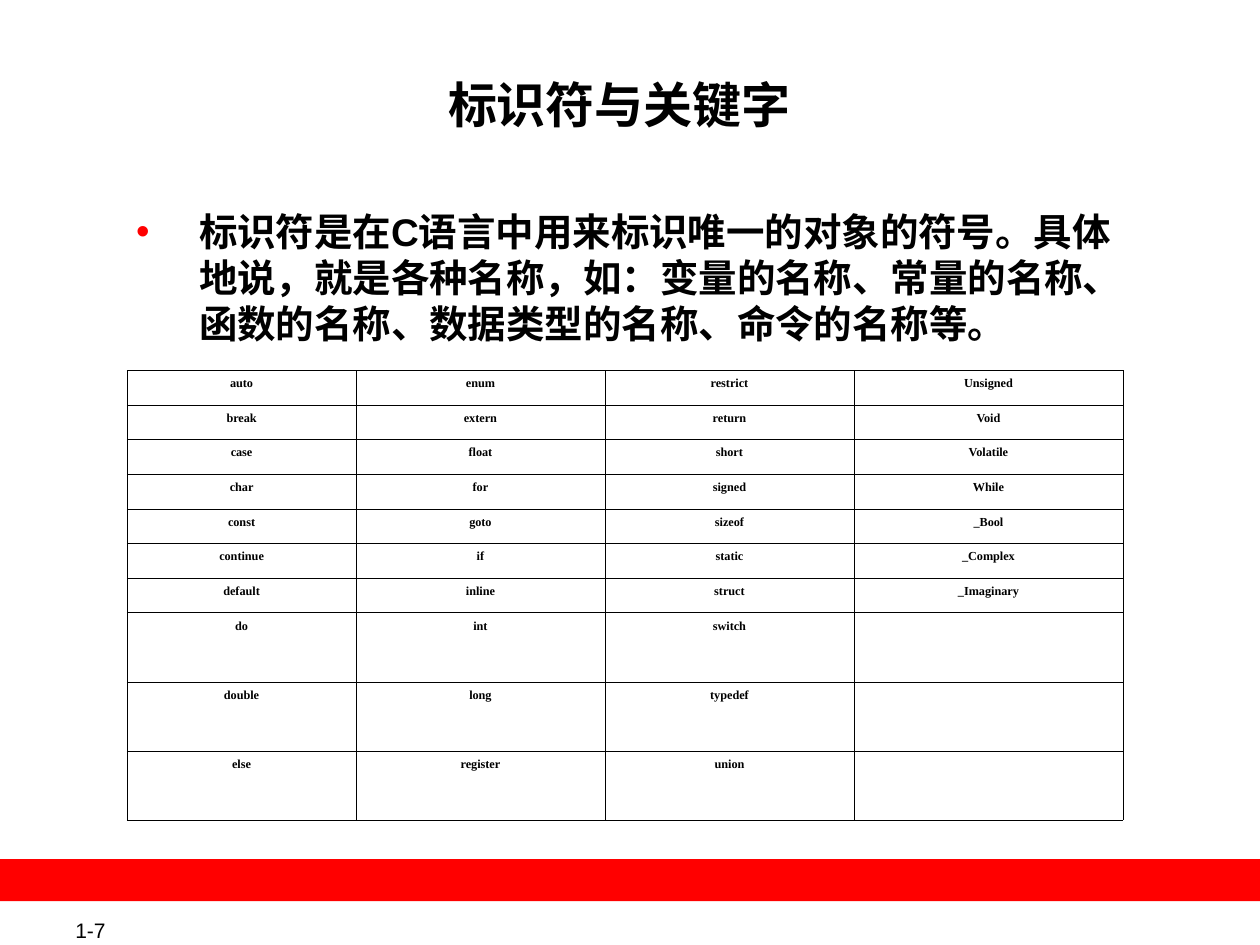
import dataclasses
import typing

import lxml.etree
import pptx
import pptx.dml.color
import pptx.enum.shapes
import pptx.enum.text
import pptx.oxml.ns
import pptx.util

Pt = pptx.util.Pt
qn = pptx.oxml.ns.qn
ALIGN = pptx.enum.text.PP_ALIGN
ANCHOR = pptx.enum.text.MSO_ANCHOR


@dataclasses.dataclass(frozen=True)
class Theme:
    ink: str = "000000"
    red: str = "FF0000"
    sans: str = "Arial"
    serif: str = "Times New Roman"
    title: float = 28
    body: float = 22
    page: float = 12
    word: float = 7
    rule: float = 0.45


THEME = Theme()


@dataclasses.dataclass(frozen=True)
class Label:
    text: str
    box: tuple[float, float, float, float]
    size: float
    bold: bool
    align: typing.Any
    inset: tuple[float, float]
    before: float = 0
    anchor: typing.Any = ANCHOR.TOP
    wrap: bool = True
    bullet: bool = False


LABELS = (
    Label("1-7", (36, 524.2, 76.3, 14.4), THEME.page, False, ALIGN.JUSTIFY,
          (7.2, 3.6), anchor=ANCHOR.MIDDLE, wrap=False),
    Label("标识符与关键字 ", (69.8, 41.8, 576, 69.1), THEME.title, True,
          ALIGN.CENTER, (0.72, 0.72), before=7),
    Label("标识符是在C语言中用来标识唯一的对象的符号。具体地说，就是各种名称，"
          "如：变量的名称、常量的名称、函数的名称、数据类型的名称、命令的名称等。",
          (67.7, 118.1, 580.3, 81.4), THEME.body, True, ALIGN.LEFT,
          (0.72, 0.72), before=5.5, bullet=True),
)
BAR = (0, 491, 720, 24)
COLS = (
    "auto break case char const continue default do double else",
    "enum extern float for goto if inline int long register",
    "restrict return short signed sizeof static struct switch typedef union",
    "Unsigned Void Volatile While _Bool _Complex _Imaginary",
)
WIDTHS = (130.7, 142.3, 142.3, 153.7)
ROWS = (19.8,) * 7 + (39.5,) * 3
GRID = (72.7, 211.7, sum(WIDTHS), sum(ROWS))


def apply(target: typing.Any, form: dict[str, typing.Any]) -> None:
    for name, value in form.items():
        setattr(target, name, value)


def place(box: tuple[float, ...]) -> list[typing.Any]:
    return [Pt(side) for side in box]


def paint(fill: typing.Any, hue: str) -> None:
    fill.solid()
    fill.fore_color.rgb = pptx.dml.color.RGBColor.from_string(hue)


def write(para: typing.Any, text: str, face: str, size: float, bold: bool,
          align: typing.Any, before: float) -> None:
    apply(para, {"alignment": align, "space_before": Pt(before)})
    run = para.add_run()
    run.text = text
    apply(run.font, {"name": face, "size": Pt(size), "bold": bold})
    paint(run.font.fill, THEME.ink)
    east = lxml.etree.Element(qn("a:ea"), typeface=face)
    run.font._element.find(qn("a:latin")).addnext(east)


def mark(para: typing.Any) -> None:
    props = para._p.get_or_add_pPr()
    props.set("marL", str(Pt(45.36)))
    props.set("indent", str(Pt(-36)))
    tint = lxml.etree.SubElement(props, qn("a:buClr"))
    lxml.etree.SubElement(tint, qn("a:srgbClr"), val=THEME.red)
    lxml.etree.SubElement(props, qn("a:buFont"), typeface=THEME.sans)
    lxml.etree.SubElement(props, qn("a:buChar"), char="•")


def draw_label(slide: typing.Any, label: Label) -> None:
    frame = slide.shapes.add_textbox(*place(label.box)).text_frame
    side, edge = place(label.inset)
    apply(frame, {"word_wrap": label.wrap, "vertical_anchor": label.anchor,
                  "margin_left": side, "margin_right": side,
                  "margin_top": edge, "margin_bottom": edge})
    para = frame.paragraphs[0]
    write(para, label.text, THEME.sans, label.size, label.bold,
          label.align, label.before)
    if label.bullet:
        mark(para)


def draw_bar(slide: typing.Any) -> None:
    bar = slide.shapes.add_shape(
        pptx.enum.shapes.MSO_SHAPE.RECTANGLE, *place(BAR))
    bar.shadow.inherit = False
    paint(bar.fill, THEME.red)
    bar.line.fill.background()


def frame_cell(cell: typing.Any) -> None:
    props = cell._tc.get_or_add_tcPr()
    for spot, side in enumerate(("lnL", "lnR", "lnT", "lnB")):
        line = lxml.etree.Element(qn("a:" + side), w=str(Pt(THEME.rule)))
        fill = lxml.etree.SubElement(line, qn("a:solidFill"))
        lxml.etree.SubElement(fill, qn("a:srgbClr"), val=THEME.ink)
        props.insert(spot, line)


def draw_grid(slide: typing.Any) -> None:
    grid = slide.shapes.add_table(len(ROWS), len(COLS), *place(GRID)).table
    apply(grid, {"first_row": False, "horz_banding": False})
    for row, height in zip(grid.rows, ROWS):
        row.height = Pt(height)
    for x, (words, width) in enumerate(zip(COLS, WIDTHS)):
        grid.columns[x].width = Pt(width)
        for y in range(len(ROWS)):
            cell = grid.cell(y, x)
            cell.fill.background()
            frame_cell(cell)
        for y, word in enumerate(words.split()):
            write(grid.cell(y, x).text_frame.paragraphs[0], word,
                  THEME.serif, THEME.word, True, ALIGN.CENTER, 1.8)


def main() -> None:
    deck = pptx.Presentation()
    apply(deck, {"slide_width": Pt(720), "slide_height": Pt(540)})
    slide = deck.slides.add_slide(deck.slide_layouts[6])
    page, *texts = LABELS
    draw_label(slide, page)
    draw_bar(slide)
    for label in texts:
        draw_label(slide, label)
    draw_grid(slide)
    deck.save("out.pptx")


if __name__ == "__main__":
    main()
